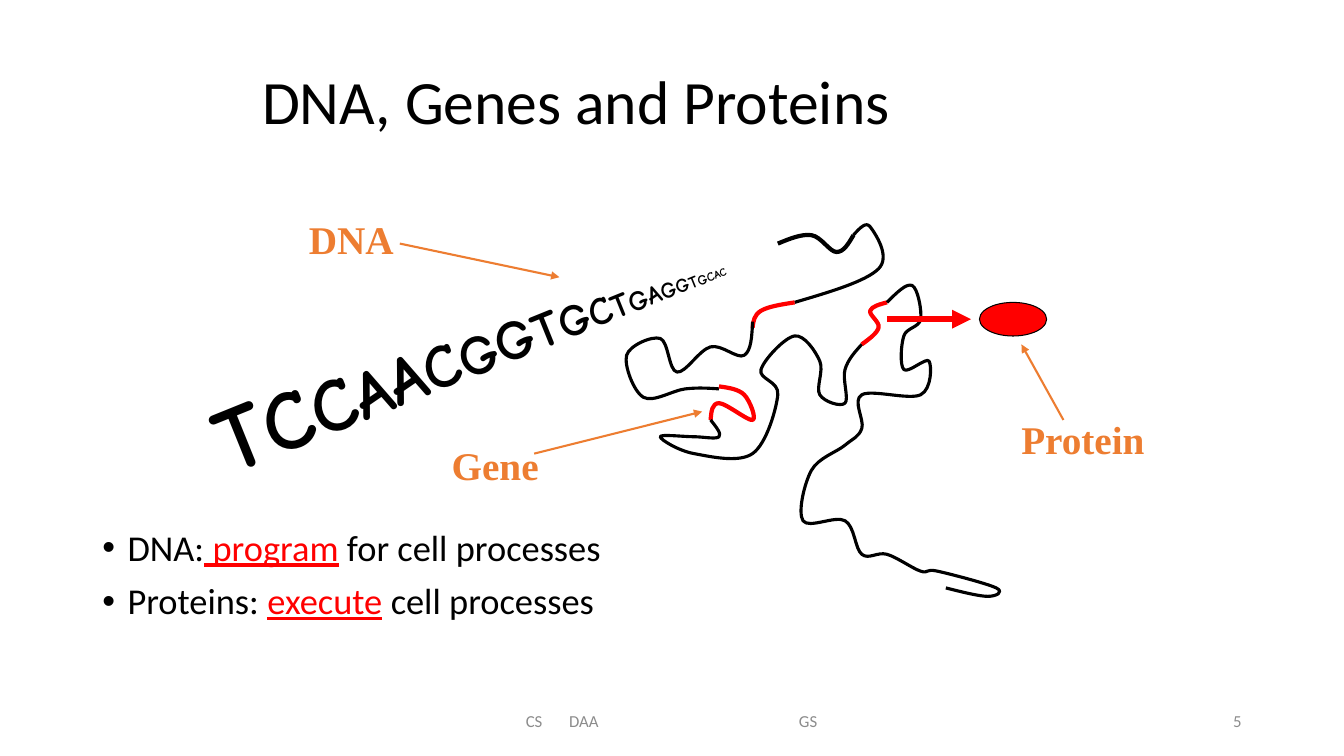
from dataclasses import dataclass

from lxml import etree
from pptx import Presentation, util as u
from pptx.dml.color import RGBColor
from pptx.enum import shapes, text
from pptx.oxml.ns import qn


@dataclass(frozen=True)
class Theme:
    """Colours, fonts and type sizes of the slide."""
    ink: str = "000000"
    gene: str = "FF0000"
    label: str = "ED7D31"
    muted: str = "8C8C8C"
    sans: str = "Calibri"
    serif: str = "Times New Roman"
    comic: str = "Comic Neue"
    title_size: int = 44
    body_size: int = 26
    label_size: int = 28
    footer_size: int = 12


class Deck:
    """Draws on a 160 by 90 grid whose column 0 is the start of the strand."""
    COLS, ROWS, START = 160, 90, 92.6

    def __init__(self, prs, theme):
        """Open a title-only slide."""
        self.prs, self.t = prs, theme
        self.s = prs.slides.add_slide(prs.slide_layouts[5])

    def x(self, col):
        """Turn a column into a horizontal position."""
        return round((col + self.START) / self.COLS * self.prs.slide_width)

    def y(self, row):
        """Turn a row into a vertical position."""
        return round(row / self.ROWS * self.prs.slide_height)

    def box(self, col, row, width, height):
        """Turn a grid cell range into left, top, width and height."""
        return (self.x(col), self.y(row),
                self.x(col + width) - self.x(col), self.y(height))

    def run(self, p, words, size, color, font, bold=False, underline=False):
        """Add one formatted run."""
        r = p.add_run()
        r.text = words
        f = r.font
        f.size, f.name, f.bold, f.underline = u.Pt(size), font, bold, underline
        f.color.rgb = RGBColor.from_string(color)

    def frame(self, cells, wrap=True, anchor=text.MSO_ANCHOR.TOP):
        """Add a text box."""
        sp = self.s.shapes.add_textbox(*self.box(*cells))
        tf = sp.text_frame
        tf.word_wrap, tf.vertical_anchor = wrap, anchor
        if not wrap:
            tf.auto_size = text.MSO_AUTO_SIZE.SHAPE_TO_FIT_TEXT
        return sp

    def title(self, words, cells):
        """Place and format the title."""
        sp = self.s.shapes.title
        sp.left, sp.top, sp.width, sp.height = self.box(*cells)
        tf = sp.text_frame
        tf.auto_size = text.MSO_AUTO_SIZE.NONE
        tf.vertical_anchor = text.MSO_ANCHOR.MIDDLE
        p = tf.paragraphs[0]
        p.alignment, p.line_spacing = text.PP_ALIGN.LEFT, 0.9
        self.run(p, words, self.t.title_size, self.t.ink, self.t.sans)

    def bullets(self, items, cells):
        """Add bullets whose middle words are highlighted."""
        tf = self.frame(cells).text_frame
        for i, parts in enumerate(items):
            p = tf.add_paragraph() if i else tf.paragraphs[0]
            p.line_spacing, p.space_before = 0.9, u.Pt(10)
            pPr = p._p.get_or_add_pPr()
            pPr.set("marL", str(u.Inches(0.25)))
            pPr.set("indent", str(u.Inches(-0.25)))
            etree.SubElement(pPr, qn("a:buFont"), typeface="Arial")
            etree.SubElement(pPr, qn("a:buChar"), char="•")
            for words, key in zip(parts, (False, True, False)):
                color = self.t.gene if key else self.t.ink
                self.run(p, words, self.t.body_size, color, self.t.sans, underline=key)

    def sequence(self, letters, cells, angle):
        """Add a rotated line of shrinking letters."""
        sp = self.frame(cells, wrap=False)
        sp.rotation = angle
        for words, size in letters:
            self.run(sp.text_frame.paragraphs[0], words, size,
                     self.t.ink, self.t.comic, bold=True)

    def label(self, words, cells):
        """Add a bold label."""
        p = self.frame(cells, wrap=False).text_frame.paragraphs[0]
        self.run(p, words, self.t.label_size, self.t.label, self.t.serif, bold=True)

    def footer(self, words, cells, align, inset=0.1, tabs=()):
        """Add a footer line with optional tab stops in inches."""
        tf = self.frame(cells, anchor=text.MSO_ANCHOR.MIDDLE).text_frame
        tf.margin_left = u.Inches(inset)
        p = tf.paragraphs[0]
        p.alignment = align
        if tabs:
            stops = etree.SubElement(p._p.get_or_add_pPr(), qn("a:tabLst"))
            for tab in tabs:
                etree.SubElement(stops, qn("a:tab"), pos=str(u.Inches(tab)), algn="l")
        self.run(p, words, self.t.footer_size, self.t.muted, self.t.sans)

    def arrow(self, start, end, color, width):
        """Add a straight arrow."""
        c = self.s.shapes.add_connector(
            shapes.MSO_CONNECTOR.STRAIGHT, self.x(start[0]), self.y(start[1]),
            self.x(end[0]), self.y(end[1]))
        c.line.color.rgb, c.line.width = RGBColor.from_string(color), u.Pt(width)
        etree.SubElement(c.line._get_or_add_ln(), qn("a:tailEnd"), type="triangle")
        etree.SubElement(c._element.spPr, qn("a:effectLst"))

    def oval(self, cells, fill):
        """Add a filled ellipse."""
        sp = self.s.shapes.add_shape(shapes.MSO_SHAPE.OVAL, *self.box(*cells))
        sp.shadow.inherit = False
        sp.fill.solid()
        sp.fill.fore_color.rgb = RGBColor.from_string(fill)
        sp.line.color.rgb, sp.line.width = RGBColor.from_string(self.t.ink), u.Pt(0.75)

    def curve(self, knots, color, width):
        """Add a smooth open curve through the knots."""
        def toward(a, b, share):
            return tuple(m + (n - m) * share for m, n in zip(a, b))

        slopes = [tuple((n - m) / 6 for m, n in zip(a, b))
                  for a, b in zip(knots, knots[2:])]
        into = [tuple(k - d for k, d in zip(*kd)) for kd in zip(knots[1:], slopes)]
        out = [tuple(k + d for k, d in zip(*kd)) for kd in zip(knots[1:], slopes)]
        out.insert(0, toward(knots[0], into[0], 0.5))
        into.append(toward(knots[-1], out[-1], 0.5))
        points = [pt for trio in zip(out, into, knots[1:]) for pt in trio]
        fb = self.s.shapes.build_freeform(self.x(knots[0][0]), self.y(knots[0][1]))
        fb.add_line_segments([(self.x(c), self.y(r)) for c, r in points], close=False)
        sp = fb.convert_to_shape()
        sp.shadow.inherit = False
        sp.fill.background()
        sp.line.color.rgb, sp.line.width = RGBColor.from_string(color), u.Pt(width)
        outline = next(sp._element.iter(qn("a:path")))
        for i, seg in enumerate(outline.findall(qn("a:lnTo"))):
            if i % 3 == 0:
                bezier = etree.SubElement(outline, qn("a:cubicBezTo"))
            bezier.append(seg[0])
            outline.remove(seg)


def main():
    """Build the slide."""
    prs = Presentation()
    prs.slide_width, prs.slide_height = u.Inches(13.333), u.Inches(7.5)
    t = Theme()
    d = Deck(prs, t)
    d.title("DNA, Genes and Proteins", (-62.6, 5, 102, 15))
    d.bullets([("DNA:", " program", " for cell processes"),
               ("Proteins: ", "execute", " cell processes")], (-81.6, 62.5, 138, 18.6))
    d.sequence([("T", 66), ("C", 60), ("C", 54), ("AA", 48), ("C", 44), ("GG", 40),
                ("T", 36), ("G", 32), ("C", 28), ("T", 24), ("G", 20), ("A", 18),
                ("G", 16), ("G", 14), ("T", 12), ("G", 10), ("C", 9), ("AC", 8)],
               (-70.6, 32, 73.8, 14.4), -22)

    strand = [
        (t.ink, 3, [(0, 29), (4, 28), (7, 30), (9, 28)]),
        (t.ink, 2.25, [(9, 28), (11, 27), (12, 32), (2, 36)]),
        (t.gene, 3, [(2, 36), (-2, 37), (-3, 39)]),
        (t.ink, 2.25, [(-3, 38.3), (-4, 42.3), (-8, 41.3), (-12, 44.3), (-14, 40.3),
                       (-18, 42.3), (-16, 47.3), (-11, 46.3), (-7, 46.3)]),
        (t.gene, 3, [(-7, 46), (-4, 47), (-3, 50), (-7, 48), (-8, 50)]),
        (t.ink, 2.25, [(-8, 50), (-7, 52), (-10, 52), (-14, 52), (-10, 54), (-3, 54),
                       (0, 47), (-2, 44), (2, 40), (5, 43), (5, 47), (8, 48), (8, 44),
                       (10, 41)]),
        (t.gene, 3, [(10, 41), (12, 39), (11, 37), (13, 36)]),
        (t.ink, 2.25, [(13, 36), (16, 34), (17, 38), (15, 40), (15, 44), (18, 43),
                       (17, 47), (10, 47), (10, 51), (8, 53), (4, 56), (3, 62), (8, 62),
                       (10, 66), (13, 66), (17, 68), (19, 68), (26, 70), (25, 71),
                       (20, 70)]),
    ]
    for color, width, knots in strand:
        d.curve(knots, color, width)
    d.oval((24, 36, 8, 4), t.gene)
    d.arrow((13, 38), (23, 38), t.gene, 4.5)

    for words, cells, start, end in [
            ("Gene", (-40, 52, 13.4, 6.8), (-29, 54), (-9, 49)),
            ("Protein", (27.8, 48.8, 17.6, 6.8), (34, 50), (29, 41)),
            ("DNA", (-57, 25, 13, 6.8), (-45, 29), (-26, 33))]:
        d.label(words, cells)
        d.arrow(start, end, t.label, 1.5)

    d.footer("CS\tDAA\tGS", (-39.6, 83.4, 54, 4.8), text.PP_ALIGN.LEFT, 0.8, (0.43, 2.71))
    d.footer("5", (20.4, 83.4, 36, 4.8), text.PP_ALIGN.RIGHT)
    prs.save("out.pptx")


if __name__ == "__main__":
    main()
